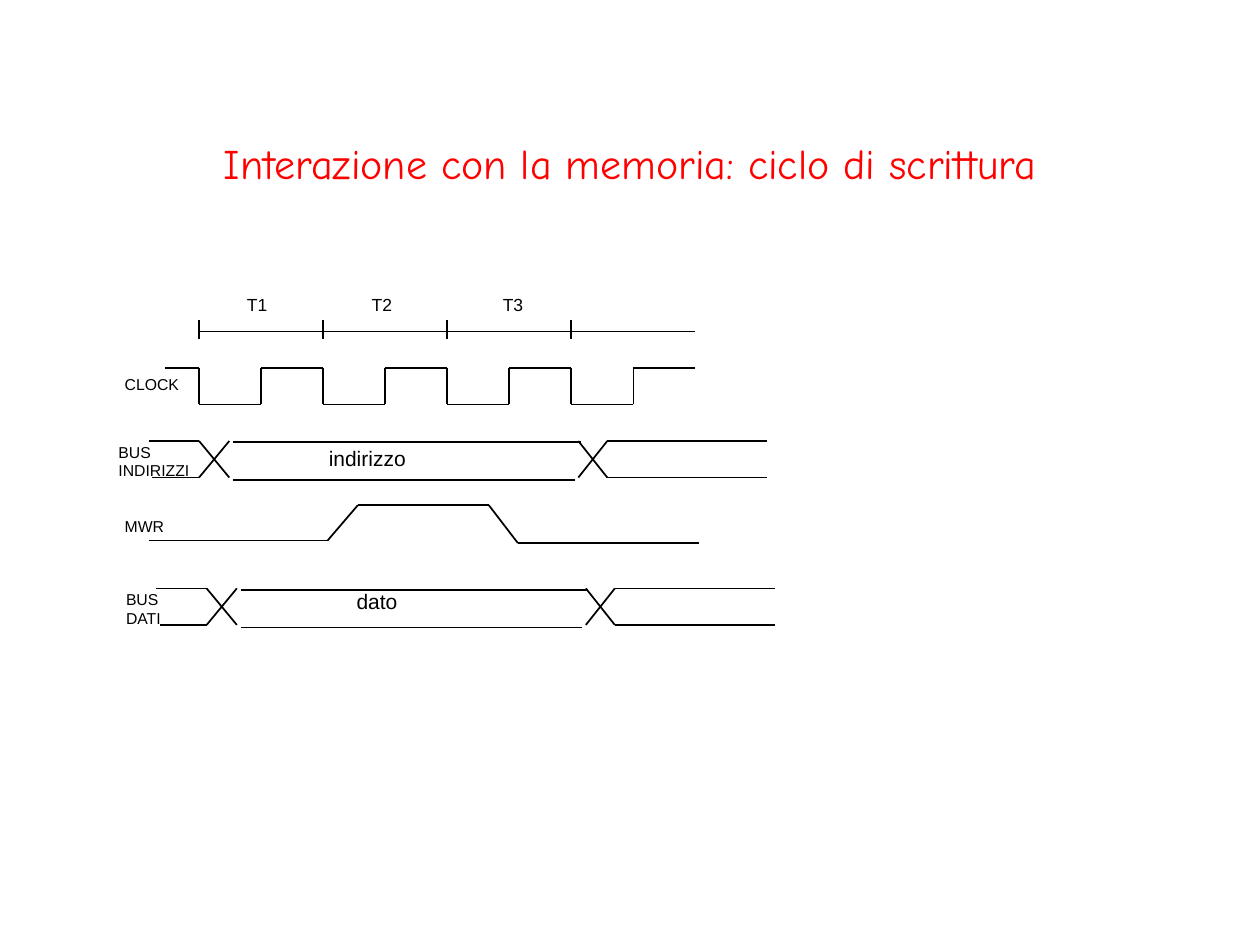
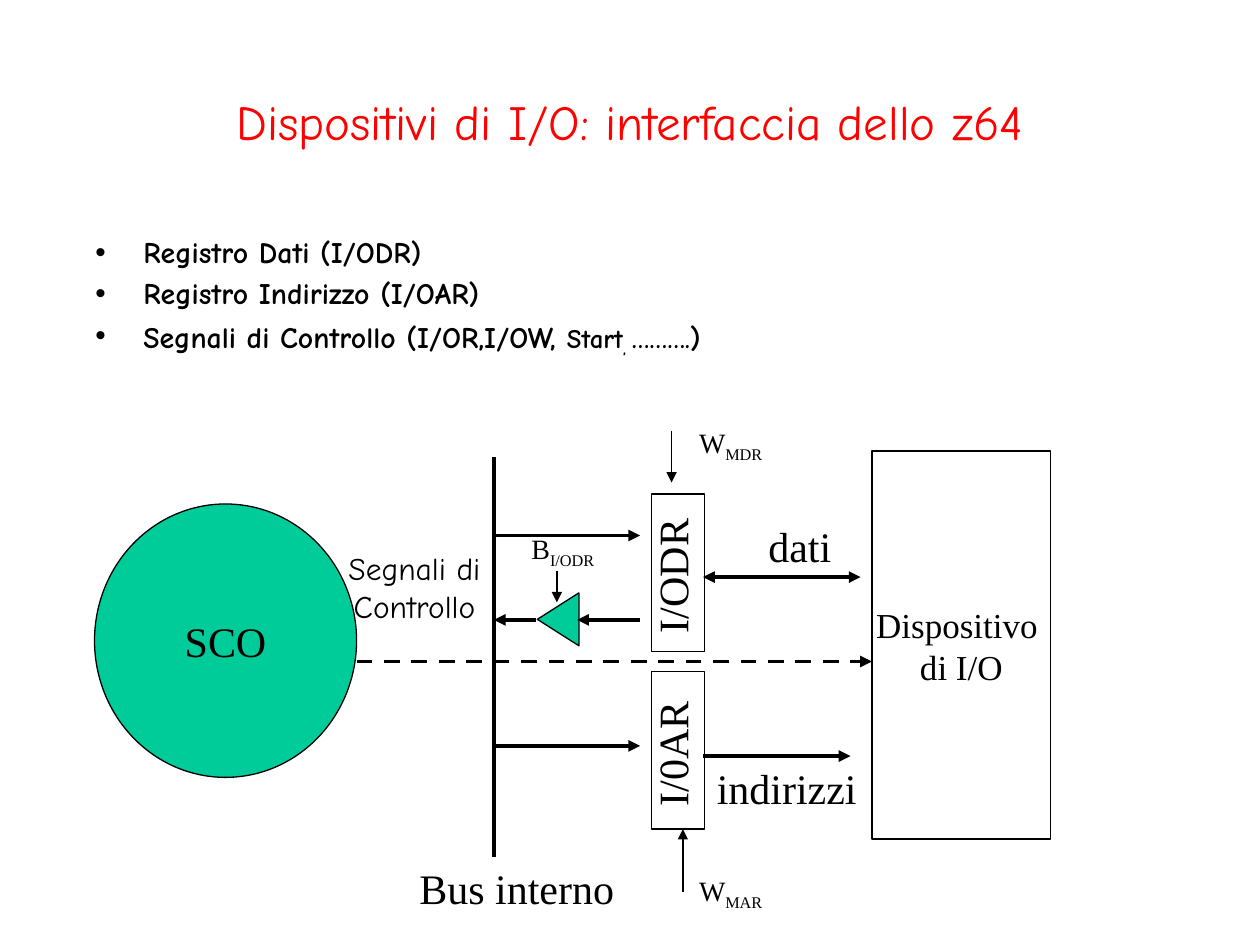
from dataclasses import dataclass
from itertools import pairwise

from lxml.etree import SubElement
from pptx import Presentation
from pptx.dml.color import RGBColor
from pptx.enum.dml import MSO_LINE_DASH_STYLE as Dash
from pptx.enum.shapes import MSO_CONNECTOR_TYPE as Connector
from pptx.enum.shapes import MSO_SHAPE as Shape
from pptx.enum.text import MSO_ANCHOR as Anchor
from pptx.enum.text import MSO_AUTO_SIZE as AutoSize
from pptx.enum.text import PP_ALIGN as Align
from pptx.oxml.ns import qn
from pptx.util import Inches, Pt


@dataclass(frozen=True)
class Theme:
    ink: RGBColor = RGBColor(0, 0, 0)
    title: RGBColor = RGBColor(0xFF, 0, 0)
    accent: RGBColor = RGBColor(0, 0xCC, 0x99)
    comic: str = "Comic Neue"
    serif: str = "Times New Roman"
    sans: str = "Arial"
    write_title_size: float = 24
    device_title_size: float = 28
    signal_size: float = 9
    period_size: float = 10
    value_size: float = 12
    bullet_size: float = 17
    start_size: float = 15.3
    control_size: float = 16
    caption_size: float = 18
    device_size: float = 20
    block_size: float = 24
    hairline: float = 0.75
    wave: float = 1
    bus: float = 2.25


THEME = Theme()
TITLE_ONLY = 5
INSETS = (0.1, 0.05, 0.1, 0.05)
NO_INSETS = (0, 0, 0, 0)


# Shared elements
def apply_format(target, values):
    for name, value in values.items():
        setattr(target, name, value)


def format_font(font, name, size, color=THEME.ink):
    apply_format(font, {"name": name, "size": Pt(size)})
    font.color.rgb = color


def place(shape, left, top, width, height):
    box = {"left": left, "top": top, "width": width, "height": height}
    apply_format(shape, {name: Inches(value) for name, value in box.items()})


def add_title_slide(presentation, text, size, top, height):
    slide = presentation.slides.add_slide(presentation.slide_layouts[TITLE_ONLY])
    title = slide.shapes.title
    place(title, 0.75, top, 8.5, height)
    frame = title.text_frame
    frame.text = text
    apply_format(frame, {"auto_size": AutoSize.NONE, "vertical_anchor": Anchor.MIDDLE,
                         "word_wrap": True})
    paragraph = frame.paragraphs[0]
    paragraph.alignment = Align.CENTER
    format_font(paragraph.runs[0].font, THEME.comic, size, THEME.title)
    return slide


def fill_text(frame, lines, font, size, align=Align.LEFT, insets=INSETS, **frame_format):
    """Write lines; a line is a string or a list of (text, format) runs."""
    sides = ("margin_left", "margin_top", "margin_right", "margin_bottom")
    apply_format(frame, {side: Inches(inset) for side, inset in zip(sides, insets)})
    apply_format(frame, frame_format)
    for number, line in enumerate(lines):
        paragraph = frame.add_paragraph() if number else frame.paragraphs[0]
        paragraph.alignment = align
        for text, values in [(line, {})] if isinstance(line, str) else line:
            run = paragraph.add_run()
            run.text = text
            format_font(run.font, font, values.get("size", size))
            if values.get("subscript"):
                run._r.get_or_add_rPr().set("baseline", "-25000")


def add_label(slide, box, lines, font, size, rotation=0, **options):
    label = slide.shapes.add_textbox(*map(Inches, box))
    label.rotation = rotation
    fill_text(label.text_frame, lines, font, size, auto_size=AutoSize.NONE,
              word_wrap=True, **options)
    return label


def add_line(slide, start, end, width, dash=None, head=False, tail=False):
    line = slide.shapes.add_connector(Connector.STRAIGHT, *map(Inches, (*start, *end)))
    line.line.color.rgb = THEME.ink
    apply_format(line.line, {"width": Pt(width), "dash_style": dash})
    for tag, wanted in (("a:headEnd", head), ("a:tailEnd", tail)):
        if wanted:
            SubElement(line.line._get_or_add_ln(), qn(tag)).set("type", "triangle")
    SubElement(line._element.spPr, qn("a:effectLst"))


def add_block(slide, kind, box, fill=None, rotation=0):
    block = slide.shapes.add_shape(kind, *map(Inches, box))
    block.shadow.inherit = False
    block.rotation = rotation
    if fill is None:
        block.fill.background()
    else:
        block.fill.solid()
        block.fill.fore_color.rgb = fill
    block.line.color.rgb = THEME.ink
    block.line.width = Pt(THEME.hairline)
    return block


# Timing diagram
CLOCK_START, CLOCK_END, PERIODS = 1.58, 5.52, 4
PERIOD = (CLOCK_END - CLOCK_START) / PERIODS
SWING = 0.29


def trace(slide, *points):
    for start, end in pairwise(points):
        add_line(slide, start, end, THEME.wave)


def add_wave_label(slide, left, top, width, text, size=THEME.signal_size):
    add_label(slide, (left, top, width, size / 60), [text], THEME.sans, size,
              insets=NO_INSETS)


def add_time_axis(slide, y):
    trace(slide, (CLOCK_START, y), (CLOCK_END, y))
    for number in range(PERIODS):
        x = CLOCK_START + number * PERIOD
        trace(slide, (x, y - 0.09), (x, y + 0.06))
    for number, left in enumerate((1.96, 2.95, 3.99), 1):
        add_wave_label(slide, left, y - 0.3, 0.25, f"T{number}", THEME.period_size)


def add_clock(slide, high):
    low = high + SWING
    points = [(1.31, high)]
    for number in range(PERIODS):
        fall = CLOCK_START + number * PERIOD
        rise = fall + PERIOD / 2
        points += [(fall, high), (fall, low), (rise, low), (rise, high)]
    trace(slide, *points, (CLOCK_END, high))
    add_wave_label(slide, 0.99, high + 0.05, 0.5, "CLOCK")


def add_bus(slide, shift, high, name, value, value_box):
    low = high + SWING

    def wire(*points):
        trace(slide, *[(x + shift, y) for x, y in points])

    wire((1.18, high), (1.58, high), (1.82, low))
    wire((1.21, low), (1.58, low), (1.82, high))
    wire((1.85, high + 0.01), (4.61, high + 0.01))
    wire((1.85, low + 0.02), (4.56, low + 0.02))
    wire((4.59, high), (4.82, low), (6.09, low))
    wire((4.59, low), (4.82, high), (6.09, high))
    for row, text in enumerate(("BUS", name)):
        add_wave_label(slide, 0.94 + shift, high + 0.01 + row * 0.15, 0.65, text)
    add_wave_label(slide, *value_box, value, THEME.value_size)


def build_write_cycle(presentation):
    slide = add_title_slide(presentation, "Interazione con la memoria: ciclo di scrittura",
                            THEME.write_title_size, 0.67, 1.25)
    add_time_axis(slide, 2.63)
    add_clock(slide, 2.92)
    add_bus(slide, 0, 3.5, "INDIRIZZI", "indirizzo", (2.61, 3.54, 0.7))
    trace(slide, (1.18, 4.29), (2.6, 4.29), (2.84, 4.01), (3.88, 4.01),
          (4.11, 4.31), (5.55, 4.31))
    add_wave_label(slide, 0.99, 4.1, 0.4, "MWR")
    add_bus(slide, 0.06, 4.67, "DATI", "dato", (2.83, 4.67, 0.42))


# Device interface
def add_bullets(slide, box, lines):
    label = add_label(slide, box, lines, THEME.comic, THEME.bullet_size)
    for number, paragraph in enumerate(label.text_frame.paragraphs):
        properties = paragraph._p.get_or_add_pPr()
        properties.set("marL", str(Inches(0.38)))
        properties.set("indent", str(-Inches(0.38)))
        SubElement(properties, qn("a:buFont")).set("typeface", THEME.sans)
        SubElement(properties, qn("a:buChar")).set("char", "•")
        apply_format(paragraph, {"line_spacing": 0.9, "space_before": Pt(5 if number else 0)})
        for run in paragraph.runs:
            run.font.bold = True


def add_register(slide, name, top):
    left, width, height, label_width = 5.17, 0.42, 1.25, 1.25
    add_block(slide, Shape.RECTANGLE, (left, top, width, height))
    add_label(slide, (5.33 - label_width / 2, top + 0.4, label_width, 0.5), [name],
              THEME.serif, THEME.block_size, rotation=270, align=Align.CENTER)


def add_control(slide, left, top, letter, subscript, start, end):
    add_label(slide, (left, top, 0.8, 0.41), [[(letter, {}), (subscript, {"subscript": True})]],
              THEME.serif, THEME.control_size)
    add_line(slide, start, end, THEME.hairline, tail=True)


def build_device_interface(presentation):
    slide = add_title_slide(presentation, "Dispositivi di I/O: interfaccia dello z64",
                            THEME.device_title_size, 0.5, 0.92)
    small = {"size": THEME.start_size}
    add_bullets(slide, (0.66, 1.84, 8.5, 1.17), [
        "Registro Dati (I/ODR)",
        "Registro Indirizzo (I/OAR)",
        [("Segnali di Controllo (I/OR,I/OW, ", {}), ("Start", small),
         (", ", small | {"subscript": True}), ("……….", small), (")", {})],
    ])

    # Registers, device and control unit
    add_register(slide, "I/ODR", 3.92)
    add_register(slide, "I/0AR", 5.33)
    device = add_block(slide, Shape.RECTANGLE, (6.92, 3.58, 1.42, 3.08))
    unit = add_block(slide, Shape.OVAL, (0.75, 4, 2.08, 2.17), THEME.accent)
    for block, lines, size in ((device, ["Dispositivo ", "di I/O"], THEME.device_size),
                               (unit, ["SCO"], THEME.block_size)):
        fill_text(block.text_frame, lines, THEME.serif, size, Align.CENTER,
                  vertical_anchor=Anchor.MIDDLE, word_wrap=False)
    add_block(slide, Shape.ISOSCELES_TRIANGLE, (4.22, 4.75, 0.42, 0.33), THEME.accent, 270)

    # Internal bus and data paths
    bus_x, register_x = 3.92, 5.08
    for start, end, ends in (
        ((bus_x, 3.63), (bus_x, 6.8), {}),
        ((bus_x, 4.25), (register_x, 4.25), {"tail": True}),
        ((bus_x, 4.92), (4.25, 4.92), {"head": True}),
        ((4.58, 4.92), (register_x, 4.92), {"head": True}),
        ((bus_x, 5.92), (register_x, 5.92), {"tail": True}),
        ((5.58, 4.58), (6.83, 4.58), {"head": True, "tail": True}),
        ((5.58, 6), (6.75, 6), {"tail": True}),
        ((2.83, 5.25), (6.92, 5.25), {"tail": True, "dash": Dash.DASH}),
    ):
        add_line(slide, start, end, THEME.bus, **ends)

    # Control signals and captions
    add_control(slide, 5.45, 3.33, "W", "MDR", (5.33, 3.42), (5.33, 3.83))
    add_control(slide, 5.45, 6.88, "W", "MAR", (5.42, 7.08), (5.42, 6.58))
    add_control(slide, 4.12, 4.17, "B", "I/ODR", (4.42, 4.53), (4.42, 4.78))
    for left, top, width, text in ((3.23, 6.8, 1.9, "Bus interno"),
                                   (6, 4.08, 0.8, "dati"),
                                   (5.59, 6, 1.45, "indirizzi")):
        add_label(slide, (left, top, width, 0.5), [text], THEME.serif, THEME.block_size)
    add_label(slide, (2.66, 4.31, 1.26, 0.7), ["Segnali di ", "Controllo"], THEME.comic,
              THEME.caption_size, align=Align.CENTER)


def main():
    presentation = Presentation()
    apply_format(presentation, {"slide_width": Inches(10), "slide_height": Inches(7.5)})
    build_write_cycle(presentation)
    build_device_interface(presentation)
    presentation.save("out.pptx")


if __name__ == "__main__":
    main()
